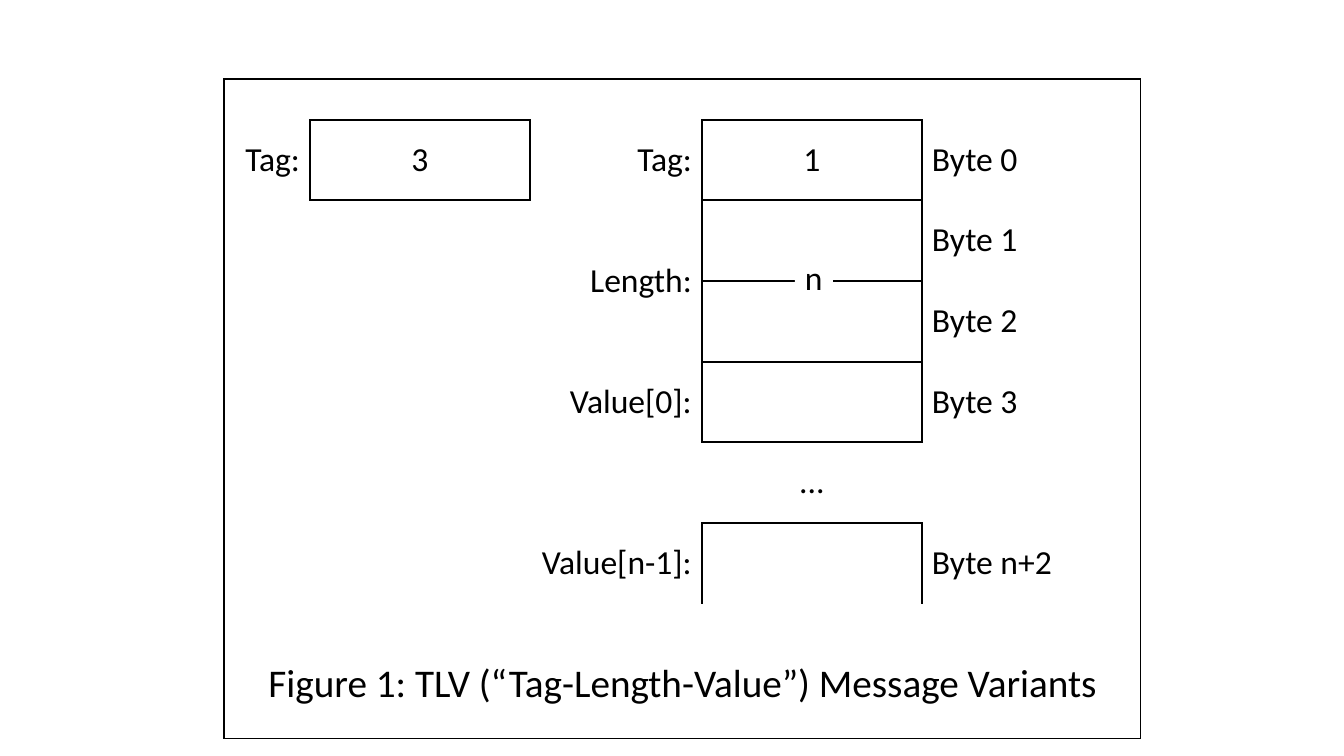
from dataclasses import dataclass

import lxml.etree
import pptx
import pptx.dml.color
import pptx.enum.shapes
import pptx.enum.text
import pptx.oxml.ns
import pptx.table
import pptx.util

BLACK = pptx.dml.color.RGBColor(0x00, 0x00, 0x00)
WHITE = pptx.dml.color.RGBColor(0xFF, 0xFF, 0xFF)
FONT = "Calibri"
SCALE = 914400 / 100.8  # EMU in one pixel

LEFT = pptx.enum.text.PP_ALIGN.LEFT
CENTER = pptx.enum.text.PP_ALIGN.CENTER
RIGHT = pptx.enum.text.PP_ALIGN.RIGHT
TOP = pptx.enum.text.MSO_ANCHOR.TOP
MIDDLE = pptx.enum.text.MSO_ANCHOR.MIDDLE

COLUMN_EDGES = [224, 310, 530, 702, 922, 1141]
ROW_EDGES = [79, 120, 200, 281, 362, 442, 523, 604, 655, 739]
COLUMNS = len(COLUMN_EDGES) - 1
ROWS = len(ROW_EDGES) - 1

# Byte boxes as (row, column); the last one is open at the bottom
BYTE_BOXES = {(1, 1), (1, 3), (2, 3), (3, 3), (4, 3), (6, 3)}
OPEN_BOX = (6, 3)

# Merged areas as first and last cell
MERGES = [((2, 2), (3, 2)), ((7, 0), (7, 4)), ((8, 0), (8, 4))]


@dataclass
class Label:
    row: int
    column: int
    text: str
    align: pptx.enum.text.PP_ALIGN
    size: int = 24
    anchor: pptx.enum.text.MSO_ANCHOR = MIDDLE
    space_after: int = 0


LABELS = [
    Label(1, 0, "Tag:", RIGHT),
    Label(1, 1, "3", CENTER),
    Label(1, 2, "Tag:", RIGHT),
    Label(1, 3, "1", CENTER),
    Label(1, 4, "Byte 0", LEFT),
    Label(2, 2, "Length:", RIGHT),
    Label(2, 4, "Byte 1", LEFT),
    Label(3, 4, "Byte 2", LEFT),
    Label(4, 2, "Value[0]:", RIGHT),
    Label(4, 4, "Byte 3", LEFT),
    Label(5, 3, "...", CENTER),
    Label(6, 2, "Value[n-1]:", RIGHT),
    Label(6, 4, "Byte n+2", LEFT),
    Label(8, 0, "Figure 1: TLV (“Tag-Length-Value”) Message Variants",
          CENTER, 28, TOP, 6),
]


def px(pixels: float) -> pptx.util.Emu:
    return pptx.util.Emu(round(pixels * SCALE))


def style_font(font, size: int) -> None:
    font.name = FONT
    font.size = pptx.util.Pt(size)
    font.color.rgb = BLACK


def add_border(cell: pptx.table._Cell, side: str, visible: bool) -> None:
    qn = pptx.oxml.ns.qn
    properties = cell._tc.get_or_add_tcPr()
    line = lxml.etree.SubElement(properties, qn(f"a:ln{side}"), w="12700")
    if visible:
        fill = lxml.etree.SubElement(line, qn("a:solidFill"))
        lxml.etree.SubElement(fill, qn("a:srgbClr"), val=str(BLACK))
    else:
        lxml.etree.SubElement(line, qn("a:noFill"))


def style_cell(cell: pptx.table._Cell, row: int, column: int) -> None:
    """Rule the outer frame and every edge that touches a byte box."""
    last_column = column + (cell.span_width if cell.is_merge_origin else 1) - 1
    here = (row, column) in BYTE_BOXES
    visible = {
        "L": column == 0 or here or (row, column - 1) in BYTE_BOXES,
        "R": (last_column == COLUMNS - 1 or here
              or (row, last_column + 1) in BYTE_BOXES),
        "T": (row == 0 or here
              or (row - 1, column) in BYTE_BOXES - {OPEN_BOX}),
        "B": (row == ROWS - 1 or (here and (row, column) != OPEN_BOX)
              or (row + 1, column) in BYTE_BOXES),
    }
    for side, shown in visible.items():
        add_border(cell, side, shown)
    cell.fill.background()


def write_label(table: pptx.table.Table, label: Label) -> None:
    cell = table.cell(label.row, label.column)
    cell.text = label.text
    cell.vertical_anchor = label.anchor
    para = cell.text_frame.paragraphs[0]
    para.alignment = label.align
    para.space_after = pptx.util.Pt(label.space_after)
    style_font(para.font, label.size)


deck = pptx.Presentation()
deck.slide_width = px(1344)
deck.slide_height = px(756)
page = deck.slides.add_slide(deck.slide_layouts[6])

# Message table
left, top = COLUMN_EDGES[0], ROW_EDGES[0]
table = page.shapes.add_table(
    ROWS, COLUMNS, px(left), px(top),
    px(COLUMN_EDGES[-1] - left), px(ROW_EDGES[-1] - top)).table
table.first_row = False
table.horz_banding = False
for index, column in enumerate(table.columns):
    column.width = px(COLUMN_EDGES[index + 1] - COLUMN_EDGES[index])
for index, row in enumerate(table.rows):
    row.height = px(ROW_EDGES[index + 1] - ROW_EDGES[index])
for first, last in MERGES:
    table.cell(*first).merge(table.cell(*last))
for row in range(ROWS):
    for column in range(COLUMNS):
        style_cell(table.cell(row, column), row, column)
for label in LABELS:
    write_label(table, label)

# Length value over the line between its two bytes
box = page.shapes.add_shape(
    pptx.enum.shapes.MSO_SHAPE.RECTANGLE, px(795), px(252), px(38), px(50))
box.shadow.inherit = False
box.fill.solid()
box.fill.fore_color.rgb = WHITE
box.line.fill.background()
box.text_frame.word_wrap = False
box.text_frame.vertical_anchor = TOP
box.text_frame.text = "n"
para = box.text_frame.paragraphs[0]
para.alignment = LEFT
style_font(para.font, 24)

deck.save("out.pptx")
